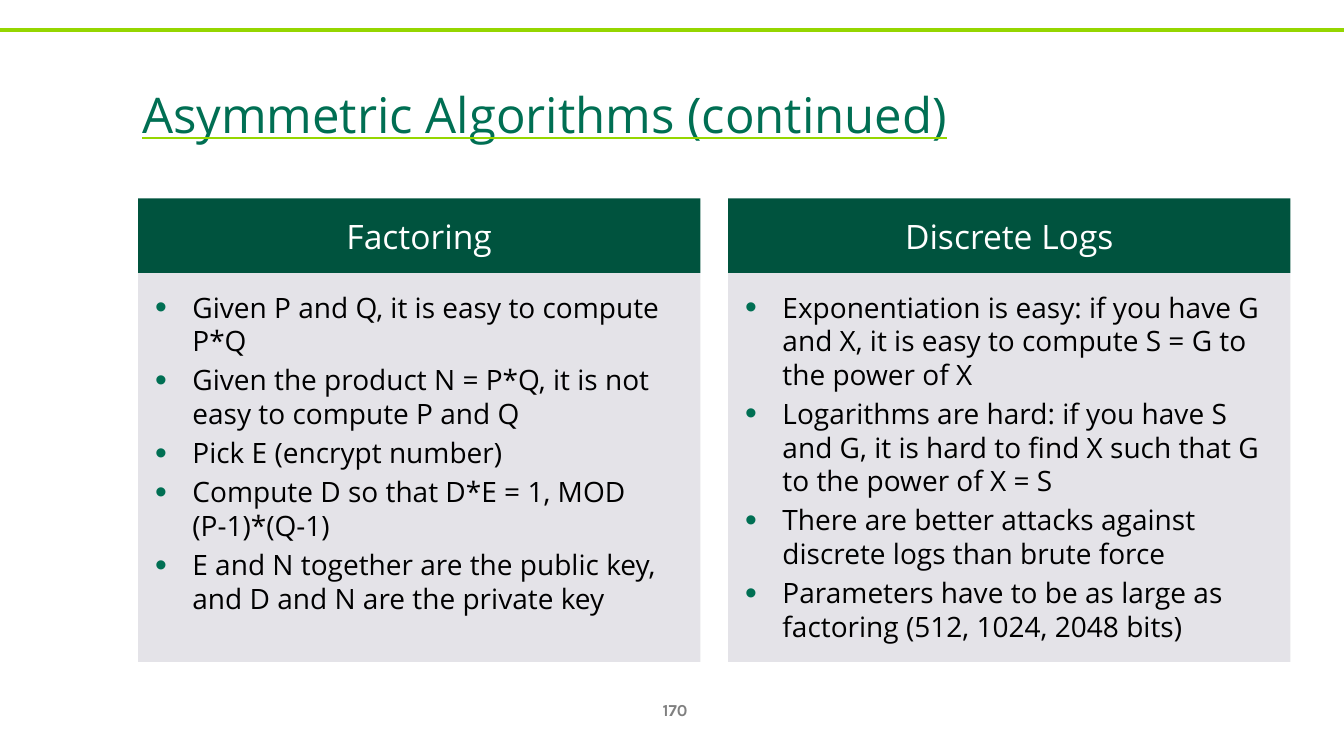
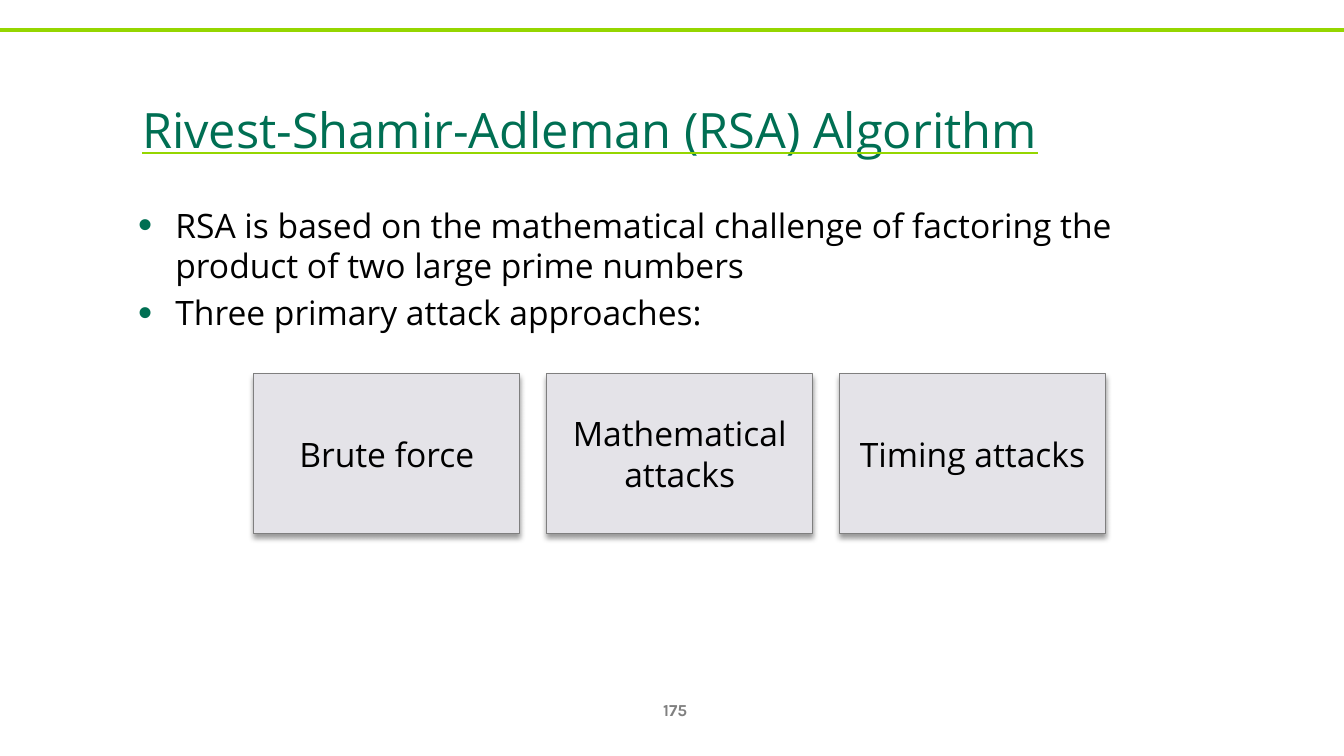
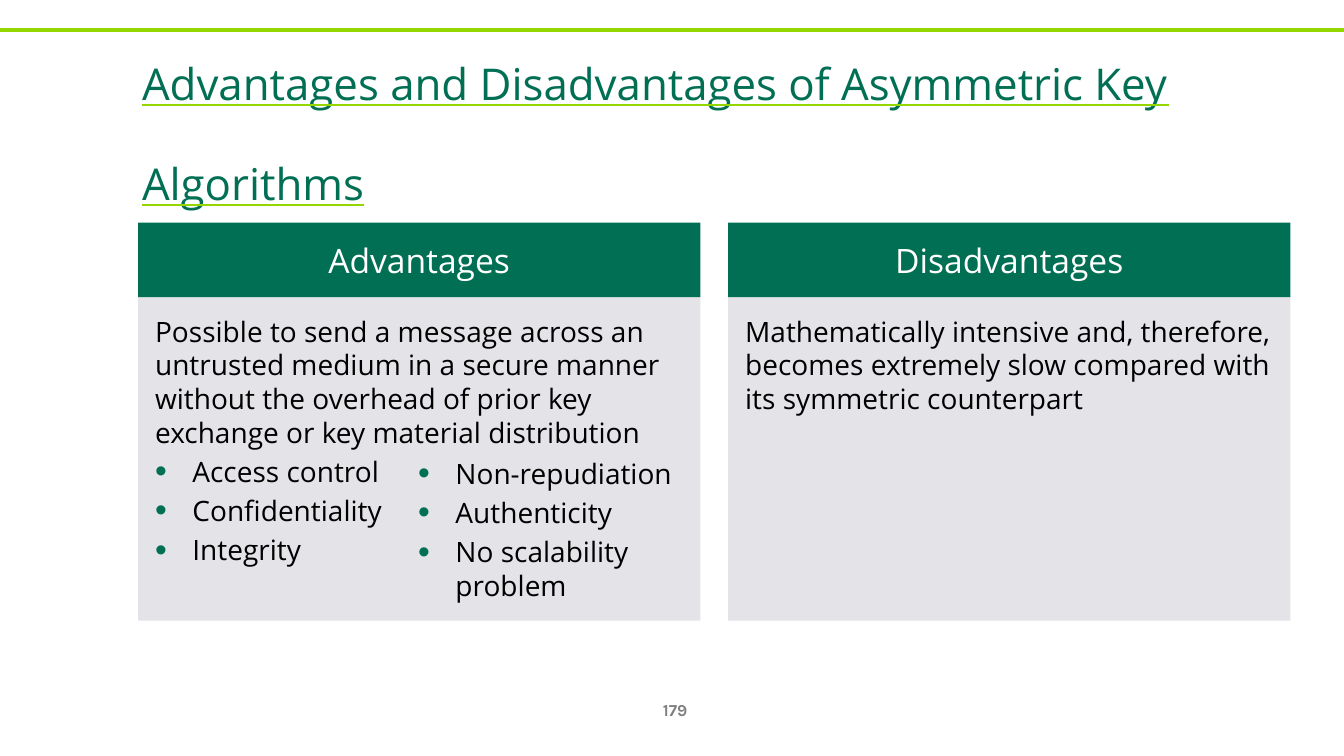
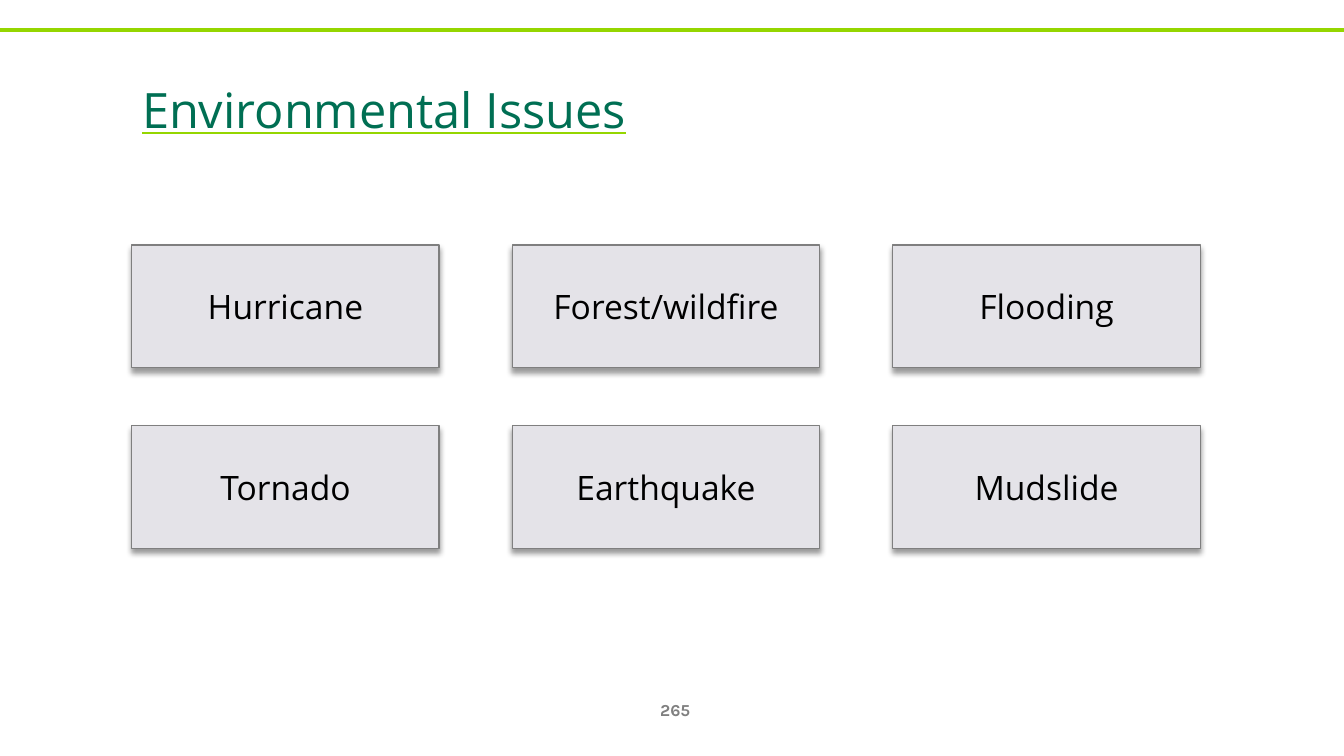
"""Build four slides on asymmetric algorithms and environmental issues."""
from lxml import etree
from pptx import Presentation
from pptx.dml.color import RGBColor
from pptx.enum.shapes import MSO_CONNECTOR, MSO_SHAPE
from pptx.enum.text import MSO_ANCHOR, PP_ALIGN
from pptx.oxml.ns import qn
from pptx.util import Cm, Pt

RECT = MSO_SHAPE.RECTANGLE
STRAIGHT = MSO_CONNECTOR.STRAIGHT
LEFT, CENTER = PP_ALIGN.LEFT, PP_ALIGN.CENTER
TOP, MIDDLE = MSO_ANCHOR.TOP, MSO_ANCHOR.MIDDLE

GREEN, DARK_GREEN, LIME = "006F53", "00533E", "95D600"
PALE, GREY, MID_GREY = "E4E3E8", "7F7F7F", "808080"
BLACK, WHITE = "000000", "FFFFFF"
FONT, NUMBER_FONT = "Open Sans", "Karla"

SLIDE_W, SLIDE_H = 33.87, 19.05
TITLE_X, TITLE_W = 3.33, 27.5
PANEL_X, PANEL_W, PANEL_PITCH, HEADER_H = 3.48, 14.17, 14.87, 1.88
PANEL_INSET = (0.43, 0.43)


def rgb(color):
    return RGBColor.from_string(color)


def sub(parent, tag, **attrs):
    return etree.SubElement(parent, qn(tag), {k: str(v) for k, v in attrs.items()})


def add_bullet(p):
    pPr = p._p.get_or_add_pPr()
    pPr.set("marL", str(Cm(0.94)))
    pPr.set("indent", str(-Cm(0.94)))
    sub(sub(pPr, "a:buClr"), "a:srgbClr", val=GREEN)
    sub(pPr, "a:buSzPct", val=120000)
    sub(pPr, "a:buFont", typeface="Arial")
    sub(pPr, "a:buChar", char="•")


def underline(r, color):
    r.font.underline = True
    fill = etree.Element(qn("a:uFill"))
    sub(sub(fill, "a:solidFill"), "a:srgbClr", val=color)
    r._r.rPr.find(qn("a:solidFill")).addnext(fill)


def write(sp, lines, size=24, color=BLACK, font=FONT, bold=False, align=LEFT,
          anchor=TOP, inset=(0.25, 0.13), bullets_from=None, spacing=None):
    tf = sp.text_frame
    tf.word_wrap = True
    tf.vertical_anchor = anchor
    tf.margin_left = tf.margin_right = Cm(inset[0])
    tf.margin_top = tf.margin_bottom = Cm(inset[1])
    for i, line in enumerate(lines):
        p = tf.paragraphs[0] if i == 0 else tf.add_paragraph()
        if bullets_from is not None and i >= bullets_from:
            add_bullet(p)
        p.alignment = align
        if i:
            p.space_before = Pt(size * 0.2)
        if spacing:
            p.line_spacing = spacing
        r = p.add_run()
        r.text = line
        r.font.name = font
        r.font.size = Pt(size)
        r.font.bold = bold
        r.font.color.rgb = rgb(color)
    return tf


def add_box(s, x, y, w, h):
    return s.shapes.add_textbox(Cm(x), Cm(y), Cm(w), Cm(h))


def add_rect(s, x, y, w, h, fill):
    sp = s.shapes.add_shape(RECT, Cm(x), Cm(y), Cm(w), Cm(h))
    sp.shadow.inherit = False
    sp.fill.solid()
    sp.fill.fore_color.rgb = rgb(fill)
    sp.line.fill.background()
    return sp


def add_title(s, text, size=60, y=1.55, h=3.18, raised=12, spacing=None):
    sp = add_box(s, TITLE_X, y, TITLE_W, h)
    tf = write(sp, [text], size=size, color=GREEN, anchor=MIDDLE, spacing=spacing)
    r = tf.paragraphs[0].runs[0]
    r._r.rPr.set("baseline", str(raised * 1000))
    underline(r, LIME)


def add_slide(prs, number):
    s = prs.slides.add_slide(prs.slide_layouts[6])
    line = s.shapes.add_connector(STRAIGHT, 0, Cm(0.75), Cm(SLIDE_W), Cm(0.75))
    line.line.color.rgb = rgb(LIME)
    line.line.width = Pt(3)
    sub(line._element.spPr, "a:effectLst")
    write(add_box(s, 16.23, 17.37, 1.57, 1.02), [number], size=12, color=MID_GREY,
          font=NUMBER_FONT, bold=True, align=CENTER, anchor=MIDDLE)
    return s


def add_panels(s, y, body_h, header_fill, panels):
    for i, (heading, lines, bullets_from) in enumerate(panels):
        x = PANEL_X + i * PANEL_PITCH
        body = add_rect(s, x, y + HEADER_H, PANEL_W, body_h, PALE)
        write(body, lines, size=20, inset=PANEL_INSET, bullets_from=bullets_from)
        header = add_rect(s, x, y, PANEL_W, HEADER_H, header_fill)
        write(header, [heading], color=WHITE, align=CENTER, anchor=MIDDLE,
              inset=(0.38, 0.38))


def add_card(s, x, y, w, h, text, line_width):
    sp = add_rect(s, x, y, w, h, PALE)
    sp.line.color.rgb = rgb(GREY)
    sp.line.width = Pt(line_width)
    shadow = sub(sp._element.spPr.find(qn("a:effectLst")), "a:outerShdw",
                 blurRad=Pt(4), dist=Pt(3), dir=90 * 60000, rotWithShape=0)
    sub(sub(shadow, "a:srgbClr", val=BLACK), "a:alpha", val=40000)
    write(sp, [text], align=CENTER, anchor=MIDDLE, inset=(0.25, 0.25))


def add_cards(s, x, y, w, h, pitch_x, pitch_y, rows, line_width):
    for j, row in enumerate(rows):
        for i, text in enumerate(row):
            add_card(s, x + i * pitch_x, y + j * pitch_y, w, h, text, line_width)


def build_factoring(prs):
    s = add_slide(prs, "170")
    add_title(s, "Asymmetric Algorithms (continued)", size=60.5, raised=30)
    add_panels(s, 5, 9.8, DARK_GREEN, [
        ("Factoring", [
            "Given P and Q, it is easy to compute P*Q",
            "Given the product N = P*Q, it is not easy to compute P and Q",
            "Pick E (encrypt number)",
            "Compute D so that D*E = 1, MOD (P-1)*(Q-1)",
            "E and N together are the public key, and D and N are the private key",
        ], 0),
        ("Discrete Logs", [
            "Exponentiation is easy: if you have G and X, it is easy to compute "
            "S = G to the power of X",
            "Logarithms are hard: if you have S and G, it is hard to find X such "
            "that G to the power of X = S",
            "There are better attacks against discrete logs than brute force",
            "Parameters have to be as large as factoring (512, 1024, 2048 bits)",
        ], 0),
    ])


def build_rsa(prs):
    s = add_slide(prs, "175")
    add_title(s, "Rivest-Shamir-Adleman (RSA) Algorithm")
    write(add_box(s, 3.23, 5.03, 28.2, 3.81), [
        "RSA is based on the mathematical challenge of factoring the product of "
        "two large prime numbers",
        "Three primary attack approaches:",
    ], bullets_from=0)
    add_cards(s, 6.4, 9.42, 6.7, 4.02, 7.38, 0,
              [["Brute force", "Mathematical attacks", "Timing attacks"]], 0.75)


def build_advantages(prs):
    s = add_slide(prs, "179")
    add_title(s, "Advantages and Disadvantages of Asymmetric Key Algorithms",
              size=54, spacing=1.1)
    add_panels(s, 5.61, 8.15, GREEN, [
        ("Advantages", [
            "Possible to send a message across an untrusted medium in a secure "
            "manner without the overhead of prior key exchange or key material "
            "distribution",
            "Access control",
            "Confidentiality",
            "Integrity",
        ], 1),
        ("Disadvantages", [
            "Mathematically intensive and, therefore, becomes extremely slow "
            "compared with its symmetric counterpart",
        ], None),
    ])
    write(add_box(s, 10.11, 11.07, 7.72, 4.72),
          ["Non-repudiation", "Authenticity", "No scalability problem"],
          size=20, inset=PANEL_INSET, bullets_from=0)


def build_environment(prs):
    s = add_slide(prs, "265")
    add_title(s, "Environmental Issues", y=1.09, h=2.84, spacing=1.1)
    add_cards(s, 3.32, 6.17, 7.75, 3.1, 9.59, 4.55, [
        ["Hurricane", "Forest/wildfire", "Flooding"],
        ["Tornado", "Earthquake", "Mudslide"],
    ], 1)


def main():
    prs = Presentation()
    prs.slide_width, prs.slide_height = Cm(SLIDE_W), Cm(SLIDE_H)
    build_factoring(prs)
    build_rsa(prs)
    build_advantages(prs)
    build_environment(prs)
    prs.save("out.pptx")


if __name__ == "__main__":
    main()
